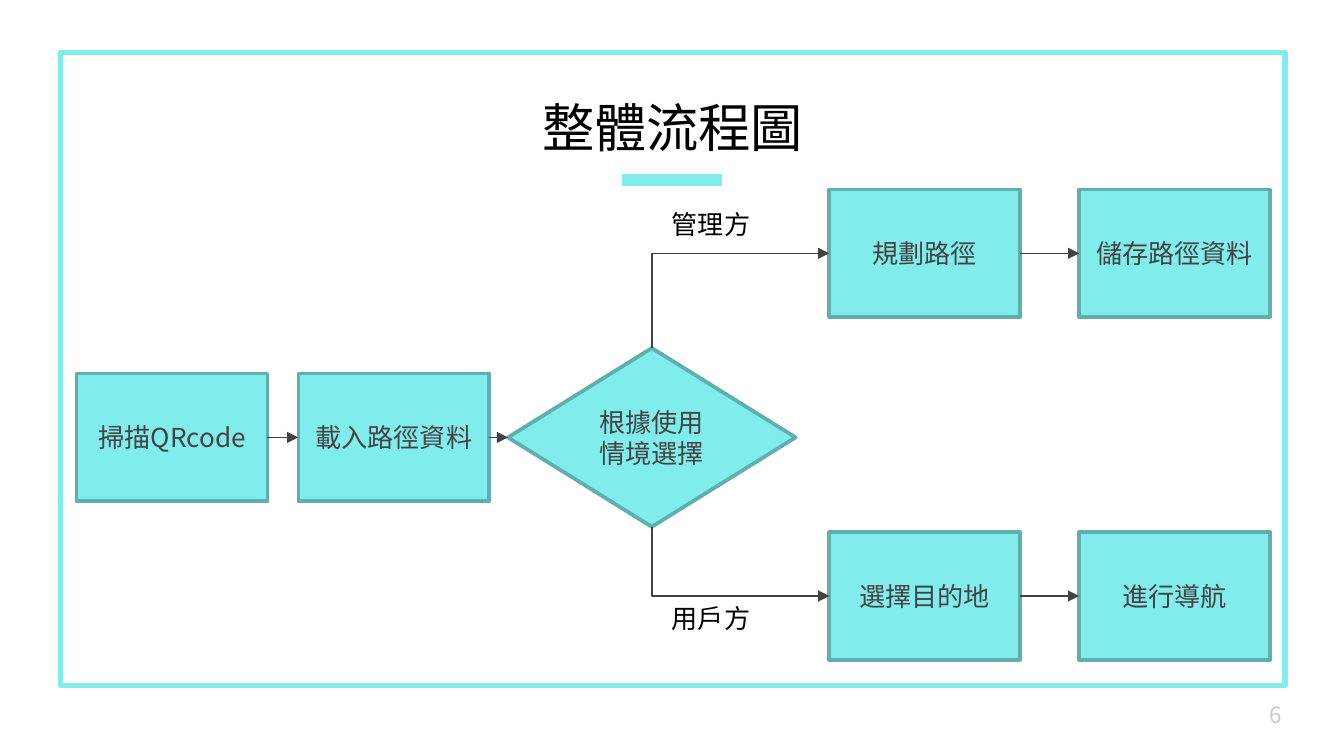
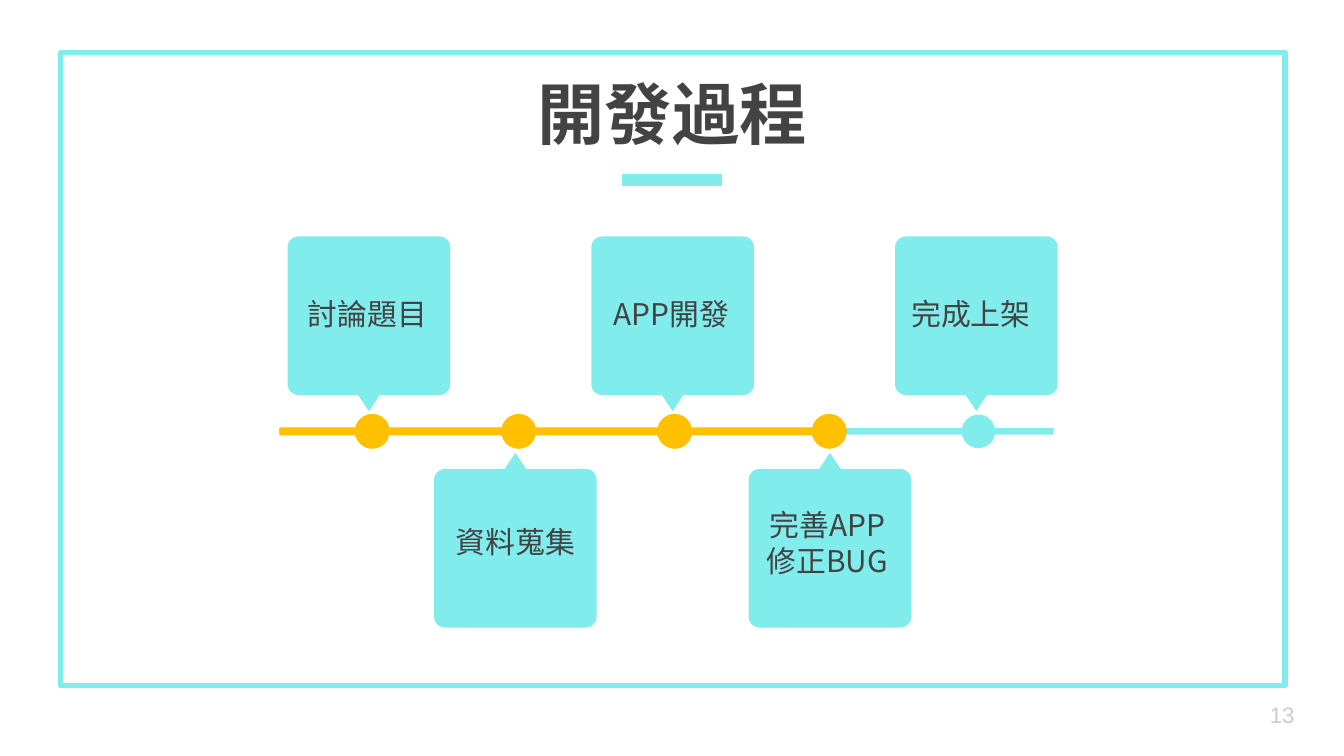
"""Build two slides of an app project report: a flow chart and a development timeline."""
from dataclasses import dataclass
from math import cos, radians, sin

from lxml.etree import SubElement
from pptx import Presentation
from pptx.dml.color import RGBColor
from pptx.enum.shapes import MSO_CONNECTOR as Line, MSO_SHAPE as Preset
from pptx.enum.text import MSO_ANCHOR as Anchor, MSO_AUTO_SIZE as AutoSize, PP_ALIGN as Align
from pptx.oxml.ns import qn
from pptx.util import Inches, Pt


@dataclass(frozen=True)
class Theme:
    aqua: str = "81ECEC"
    aqua_dark: str = "5FAFAF"
    amber: str = "FFC000"
    ink: str = "434343"
    arrow: str = "424242"
    black: str = "000000"
    grey: str = "CCCCCC"
    cjk: str = "Noto Sans CJK JP"
    heading: str = "Lato"
    number: str = "Arial"
    title_size: int = 28
    heading_size: int = 36
    step_size: int = 14
    stage_size: int = 16
    number_size: int = 12


THEME = Theme()
TOP, LEFT, BOTTOM, RIGHT = range(4)

BOX_SIZE = (1.42, 0.95)
BOXES = {
    "scan": ("掃描QRcode", 0.57, 2.78),
    "load": ("載入路徑資料", 2.22, 2.78),
    "plan": ("規劃路徑", 6.17, 1.41),
    "target": ("選擇目的地", 6.17, 3.96),
    "store": ("儲存路徑資料", 8.03, 1.41),
    "navigate": ("進行導航", 8.03, 3.96),
}
DECISION = ("根據使用情境選擇", (3.78, 2.59, 2.14, 1.33))
STRAIGHT_ARROWS = [("scan", "load"), ("load", "decision"), ("plan", "store"), ("target", "navigate")]
BRANCHES = [("plan", TOP), ("target", BOTTOM)]
BRANCH_LABELS = [("管理方", 1.5), ("用戶方", 4.43)]

CALLOUT_WIDTH, CALLOUT_HEIGHT, POINTER, CORNER = 1.21, 1.18, 0.12, 0.08
CALLOUT_TOP, CALLOUT_BELOW = 1.76, 3.37
AXIS = 3.21
TRACK_START, TRACK_END = 2.08, 7.84
STAGES = [
    (["討論題目"], 2.14, 2.17, 2.1, 2.77, True),
    (["資料蒐集"], 3.23, 3.27, 3.8, 3.86, True),
    (["APP開發"], 4.4, 4.43, 2.1, 5.02, True),
    (["完善APP", "修正BUG"], 5.57, 5.59, 3.67, 6.17, True),
    (["完成上架"], 6.66, 6.66, 2.1, 7.28, False),
]


def inches(values):
    return [Inches(value) for value in values]


def color(value):
    return RGBColor.from_string(value)


def write(shape, lines, size, ink, font=THEME.cjk, align=Align.CENTER, anchor=Anchor.MIDDLE,
          margins=(0.1, 0.05), wrap=True, bold=False):
    frame = shape.text_frame
    frame.text = "\n".join(lines)
    frame.auto_size = AutoSize.NONE
    frame.word_wrap = wrap
    frame.vertical_anchor = anchor
    frame.margin_left = frame.margin_right = Inches(margins[0])
    frame.margin_top = frame.margin_bottom = Inches(margins[1])
    for paragraph in frame.paragraphs:
        paragraph.alignment = align
        paragraph.font.size = Pt(size)
        paragraph.font.bold = bold
        paragraph.font.color.rgb = color(ink)
        paragraph.font.name = font
        defaults = paragraph._p.pPr.find(qn("a:defRPr"))
        SubElement(defaults, qn("a:ea")).set("typeface", font)


def paint(shape, fill=None, line=None, width=0):
    shape.shadow.inherit = False
    if fill:
        shape.fill.solid()
        shape.fill.fore_color.rgb = color(fill)
    else:
        shape.fill.background()
    if line:
        shape.line.color.rgb = color(line)
        shape.line.width = Pt(width)
    else:
        shape.line.fill.background()
    return shape


def add_block(slide, preset, box, **style):
    return paint(slide.shapes.add_shape(preset, *inches(box)), **style)


def add_line(slide, ends, ink, width, kind=Line.STRAIGHT, arrow=False):
    connector = slide.shapes.add_connector(kind, *ends)
    connector.line.color.rgb = color(ink)
    connector.line.width = Pt(width)
    if arrow:
        SubElement(connector.line._get_or_add_ln(), qn("a:tailEnd")).set("type", "triangle")
    SubElement(connector._element.spPr, qn("a:effectLst"))
    return connector


def add_base(presentation, page):
    slide = presentation.slides.add_slide(presentation.slide_layouts[5])
    add_block(slide, Preset.RECTANGLE, (0.45, 0.39, 9.11, 4.71), line=THEME.aqua, width=3)
    add_line(slide, inches((4.63, 1.34, 5.37, 1.34)), THEME.aqua, 6)
    number = slide.shapes.add_textbox(*inches((9.35, 5.1, 0.6, 0.43)))
    font = THEME.cjk if page < 10 else THEME.number
    write(number, [str(page)], THEME.number_size, THEME.grey, font, Align.LEFT, margins=(0.1, 0.1))
    return slide


def set_title(slide, text, box, size, ink, **style):
    title = slide.shapes.title
    title.left, title.top, title.width, title.height = inches(box)
    write(title, [text], size, ink, **style)


def link(slide, start, start_side, end, kind=Line.STRAIGHT):
    arrow = add_line(slide, (0, 0, 0, 0), THEME.arrow, 0.75, kind, arrow=True)
    arrow.begin_connect(start, start_side)
    arrow.end_connect(end, LEFT)
    return arrow


def link_branch(slide, decision, side, target):
    arrow = link(slide, decision, side, target, Line.ELBOW)
    across, rise = arrow.width, arrow.height
    center_x, center_y = arrow.left + across // 2, arrow.top + rise // 2
    arrow.left, arrow.top = center_x - rise // 2, center_y - across // 2
    arrow.width, arrow.height = rise, across
    arrow._element.spPr.find(qn("a:prstGeom")).set("prst", "bentConnector2")
    transform = arrow._element.spPr.find(qn("a:xfrm"))
    transform.set("rot", str((90 if side == TOP else 270) * 60000))
    transform.set("flipH", "1")
    transform.set("flipV", "1" if side == TOP else "0")


def build_flow(presentation):
    slide = add_base(presentation, 6)
    set_title(slide, "整體流程圖", (3.92, 0.66, 2.17, 0.57), THEME.title_size, THEME.black,
              anchor=Anchor.TOP, wrap=False)
    parts = {name: (text, Preset.RECTANGLE, (left, top, *BOX_SIZE))
             for name, (text, left, top) in BOXES.items()}
    parts["decision"] = (DECISION[0], Preset.DIAMOND, DECISION[1])
    steps = {}
    for name, (text, preset, box) in parts.items():
        steps[name] = add_block(slide, preset, box, fill=THEME.aqua, line=THEME.aqua_dark, width=2)
        write(steps[name], [text], THEME.step_size, THEME.ink)
    for start, end in STRAIGHT_ARROWS:
        link(slide, steps[start], RIGHT, steps[end])
    for target, side in BRANCHES:
        link_branch(slide, steps["decision"], side, steps[target])
    for text, top in BRANCH_LABELS:
        label = slide.shapes.add_textbox(*inches((4.9, top, 0.79, 0.34)))
        write(label, [text], THEME.step_size, THEME.black, align=Align.LEFT,
              anchor=Anchor.TOP, wrap=False)


def callout_outline(left, above):
    near, far_x, far_y = CORNER, CALLOUT_WIDTH - CORNER, CALLOUT_HEIGHT - CORNER
    corners = [(near, near, 180), (far_x, near, 270), (far_x, far_y, 0), (near, far_y, 90)]
    arcs = [[(x + CORNER * cos(radians(start + turn)), y + CORNER * sin(radians(start + turn)))
             for turn in range(0, 91, 15)] for x, y, start in corners]
    middle = CALLOUT_WIDTH / 2
    pointer = [(middle + 0.08, CALLOUT_HEIGHT), (middle, CALLOUT_HEIGHT + POINTER),
               (middle - 0.08, CALLOUT_HEIGHT)]
    points = arcs[0] + arcs[1] + arcs[2] + pointer + arcs[3]
    if above:
        return [inches((left + x, CALLOUT_TOP + y)) for x, y in points]
    bottom = CALLOUT_BELOW + CALLOUT_HEIGHT + POINTER
    return [inches((left + x, bottom - y)) for x, y in points]


def add_bar(slide, start, end, thickness, fill):
    box = (start, AXIS - thickness / 2, end - start, thickness)
    add_block(slide, Preset.RECTANGLE, box, fill=fill)


def build_timeline(presentation):
    slide = add_base(presentation, 13)
    set_title(slide, "開發過程", (0, 0.24, 10, 1), THEME.heading_size, THEME.ink,
              font=THEME.heading, anchor=Anchor.BOTTOM, margins=(0.1, 0.1), bold=True)
    add_bar(slide, TRACK_START, TRACK_END, 0.05, THEME.aqua)
    bar_start = TRACK_START
    for index, (lines, left, label_left, label_top, dot, done) in enumerate(STAGES):
        first, *rest = callout_outline(left, above=index % 2 == 0)
        builder = slide.shapes.build_freeform(*first)
        builder.add_line_segments(rest, close=True)
        paint(builder.convert_to_shape(), fill=THEME.aqua)
        label = slide.shapes.add_textbox(*inches((label_left, label_top, 1.13, 0.26)))
        write(label, lines, THEME.stage_size, THEME.ink, anchor=Anchor.TOP, margins=(0.1, 0.1))
        if done:
            add_bar(slide, bar_start, dot - 0.05, 0.06, THEME.amber)
            bar_start = dot + 0.12
        size = 0.26 if done else 0.25
        add_block(slide, Preset.OVAL, (dot - size / 2, AXIS - size / 2, size, size),
                  fill=THEME.amber if done else THEME.aqua)


def main():
    presentation = Presentation()
    presentation.slide_width = Inches(10)
    presentation.slide_height = presentation.slide_width * 9 // 16
    build_flow(presentation)
    build_timeline(presentation)
    presentation.save("out.pptx")


if __name__ == "__main__":
    main()
